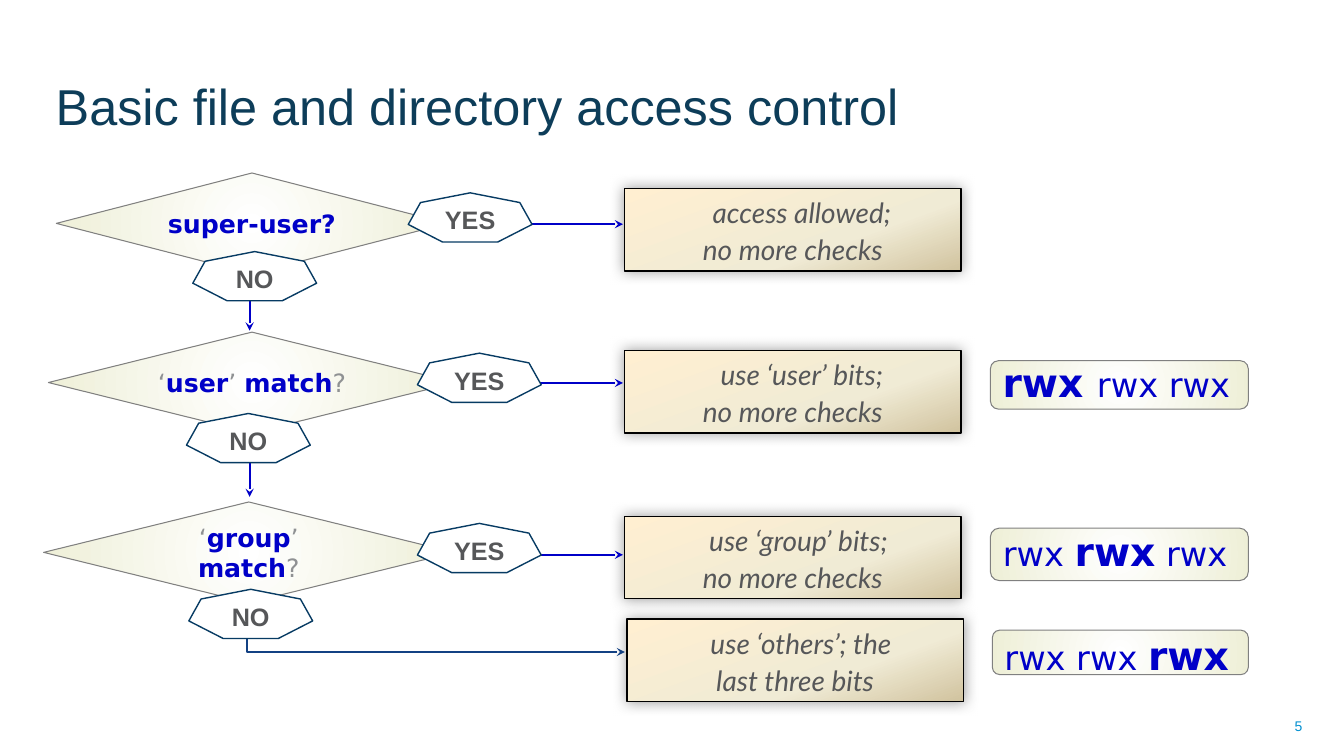
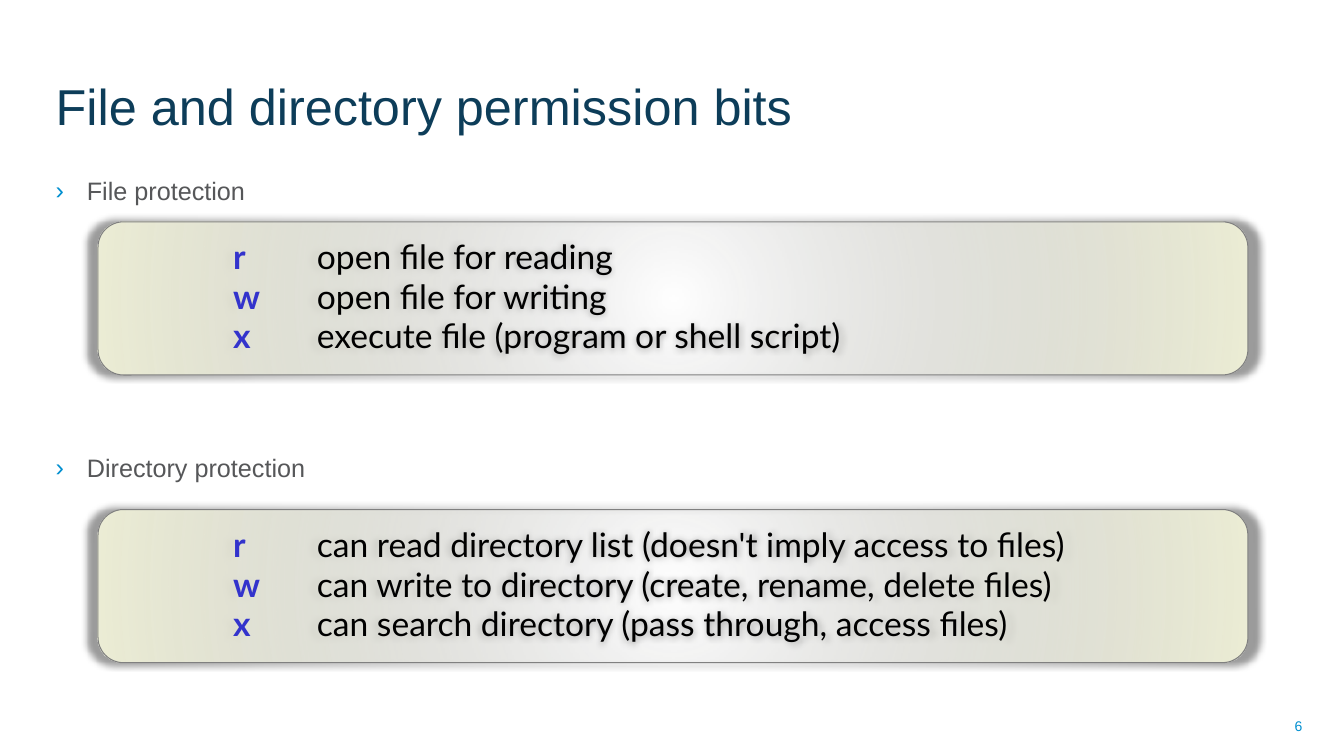
"""Build two slides on file access control and permission bits."""
from dataclasses import dataclass
from typing import Any, NamedTuple

from lxml import etree
from pptx import Presentation
from pptx.dml.color import RGBColor
from pptx.enum.shapes import MSO_CONNECTOR, MSO_SHAPE
from pptx.enum.text import MSO_ANCHOR, MSO_AUTO_SIZE, PP_ALIGN
from pptx.oxml.ns import nsdecls, qn
from pptx.oxml import parse_xml
from pptx.util import Cm, Pt

LEFT, CENTER, RIGHT = PP_ALIGN.LEFT, PP_ALIGN.CENTER, PP_ALIGN.RIGHT
TOP, MIDDLE, BOTTOM = MSO_ANCHOR.TOP, MSO_ANCHOR.MIDDLE, MSO_ANCHOR.BOTTOM
NO_AUTOFIT = MSO_AUTO_SIZE.NONE
RECTANGLE, DIAMOND = MSO_SHAPE.RECTANGLE, MSO_SHAPE.FLOWCHART_DECISION
PANEL, HEPTAGON = MSO_SHAPE.FLOWCHART_ALTERNATE_PROCESS, MSO_SHAPE.HEPTAGON
STRAIGHT, ELBOW = MSO_CONNECTOR.STRAIGHT, MSO_CONNECTOR.ELBOW

NAVY, SKY, GREY, PALE_GREY = "0D3D59", "008FD0", "565759", "8F9193"
BLUE, INDIGO, BLACK, WHITE = "0000C8", "3333CC", "000000", "FFFFFF"
OUTLINE, BADGE_LINE, ELBOW_LINE = "808080", "073B63", "134183"
SANS, MONO_LIKE, HUMANIST = "Arial", "DejaVu Sans", "Lato"

CENTRE_OUT = ('<a:path path="circle"><a:fillToRect l="50000" t="50000" '
              'r="50000" b="50000"/></a:path>')
DIAGONAL = '<a:lin ang="4200000" scaled="0"/>'


class Area(NamedTuple):
    """Left, top, width and height in centimetres."""
    left: float
    top: float
    width: float
    height: float


class Stop(NamedTuple):
    """One gradient stop: percent, colour and opacity."""
    percent: int
    color: str
    opacity: int = 100


class Style(NamedTuple):
    """Character format."""
    font: str
    size: int
    color: str
    bold: bool = False
    italic: bool = False


class Span(NamedTuple):
    """Text in one character format."""
    text: str
    style: Style


@dataclass(frozen=True)
class Check:
    """A question with its YES and NO badges and the YES arrow."""
    question: Area
    spans: tuple[Span, ...]
    yes: tuple[float, float]
    no: tuple[float, float]
    arrow_y: float


@dataclass(frozen=True)
class Outcome:
    """The result of a check in two lines."""
    left: float
    top: float
    lines: tuple[str, str]


@dataclass(frozen=True)
class Bits:
    """Three permission triplets, one of them in force."""
    area: Area
    spans: tuple[Span, ...]
    bottom: float


@dataclass(frozen=True)
class Rights:
    """A panel that explains r, w and x."""
    top: float
    meanings: tuple[str, str, str]


TITLE = Style(SANS, 36, NAVY)
NUMBER = Style(SANS, 10, SKY)
BADGE = Style(SANS, 18, GREY, bold=True)
HEADING = Style(SANS, 18, GREY)
RESULT = Style(HUMANIST, 20, GREY, italic=True)
ASKED = Style(MONO_LIKE, 18, BLUE, bold=True)
QUIET = Style(MONO_LIKE, 18, PALE_GREY)
IDLE_BITS = Style(MONO_LIKE, 24, BLUE)
ACTIVE_BITS = Style(MONO_LIKE, 28, BLUE, bold=True)
LETTER = Style(HUMANIST, 24, INDIGO, bold=True)
MEANING = Style(HUMANIST, 24, BLACK)

SAND = (Stop(0, "FFEFD1"), Stop(65, "F0EBD5"), Stop(100, "D1C39F"))
IVORY = (Stop(0, WHITE), Stop(100, "EEEFD7"))
CLEAR_IVORY = (Stop(0, WHITE, 0), Stop(100, "EEEFD7"))


def match_spans(word: str) -> tuple[Span, ...]:
    """Return the spans of a question about one quoted word."""
    return (Span("‘", QUIET), Span(word, ASKED), Span("’ ", QUIET),
            Span("match", ASKED), Span("?", QUIET))


CHECKS = (
    Check(Area(1.42, 4.36, 9.86, 2.54), (Span("super-user?", ASKED),),
          (10.29, 4.86), (4.86, 6.34), 5.65),
    Check(Area(1.22, 8.37, 10.26, 2.54), match_spans("user"),
          (10.52, 8.9), (4.7, 10.42), 9.65),
    Check(Area(1.1, 12.65, 10.34, 2.54), match_spans("group"),
          (10.52, 13.19), (4.76, 14.85), 13.98),
)
OUTCOMES = (
    Outcome(15.74, 4.75, ("access allowed;", "no more checks")),
    Outcome(15.74, 8.83, ("use ‘user’ bits;", "no more checks")),
    Outcome(15.74, 13.01, ("use ‘group’ bits; ", "no more checks")),
    Outcome(15.8, 15.6, ("use ‘others’; the ", "last three bits")),
)
BITS = (
    Bits(Area(24.96, 9.09, 6.5, 1.22),
         (Span("rwx ", ACTIVE_BITS), Span("rwx rwx", IDLE_BITS)), 0.3),
    Bits(Area(24.96, 13.31, 6.5, 1.32),
         (Span("rwx ", IDLE_BITS), Span("rwx", ACTIVE_BITS), Span(" rwx", IDLE_BITS)), 0.3),
    Bits(Area(25.01, 15.88, 6.45, 1.12),
         (Span("rwx rwx ", IDLE_BITS), Span("rwx", ACTIVE_BITS)), 0),
)
RIGHTS = (
    Rights(5.59, ("open file for reading", "open file for writing",
                  "execute file (program or shell script)")),
    Rights(12.84, ("can read directory list (doesn't imply access to files)",
                   "can write to directory (create, rename, delete files)",
                   "can search directory (pass through, access files)")),
)


def rgb(color: str) -> RGBColor:
    """Turn a hex string into a colour."""
    return RGBColor.from_string(color)


def assign(target: Any, values: dict[str, Any]) -> None:
    """Set each named attribute of the target."""
    for name, value in values.items():
        setattr(target, name, value)


def place(area: Area) -> tuple[Cm, ...]:
    """Return the area as lengths."""
    return tuple(Cm(value) for value in area)


def write(paragraph: Any, spans: tuple[Span, ...], indent: float = 0,
          margin: float = 0, **layout: Any) -> None:
    """Add formatted spans to a paragraph and lay it out."""
    assign(paragraph, layout)
    properties = paragraph._p.get_or_add_pPr()
    properties.set("marL", str(Cm(margin)))
    properties.set("indent", str(Cm(indent)))
    for text, style in spans:
        run = paragraph.add_run()
        run.text = text
        assign(run.font, {"name": style.font, "size": Pt(style.size),
                          "bold": style.bold, "italic": style.italic})
        run.font.color.rgb = rgb(style.color)


def prepare(shape: Any, anchor: Any = MIDDLE, **margins: Cm) -> Any:
    """Set up wrapping text and return its first paragraph."""
    frame = shape.text_frame
    assign(frame, {"word_wrap": True, "auto_size": NO_AUTOFIT,
                   "vertical_anchor": anchor, **margins})
    return frame.paragraphs[0]


def add_outlined(slide: Any, kind: Any, area: Area, line: str, width: float) -> Any:
    """Add a white shape with an outline and no shadow."""
    shape = slide.shapes.add_shape(kind, *place(area))
    shape.shadow.inherit = False
    shape.fill.solid()
    shape.fill.fore_color.rgb = rgb(WHITE)
    shape.line.color.rgb = rgb(line)
    shape.line.width = Pt(width)
    return shape


def set_gradient(shape: Any, stops: tuple[Stop, ...], direction: str) -> None:
    """Fill the shape with a gradient."""
    marks = "".join(
        f'<a:gs pos="{stop.percent * 1000}"><a:srgbClr val="{stop.color}">'
        f'<a:alpha val="{stop.opacity * 1000}"/></a:srgbClr></a:gs>' for stop in stops)
    properties = shape._element.spPr
    properties.replace(properties.find(qn("a:solidFill")), parse_xml(
        f'<a:gradFill {nsdecls("a")} rotWithShape="1"><a:gsLst>{marks}</a:gsLst>'
        f'{direction}</a:gradFill>'))


def set_glow_shadow(shape: Any, color: str, opacity: int, blur: int, scale: int) -> None:
    """Add a centred soft shadow."""
    shape._element.spPr.find(qn("a:effectLst")).append(parse_xml(
        f'<a:outerShdw {nsdecls("a")} blurRad="{Pt(blur)}" sx="{scale * 1000}" '
        f'sy="{scale * 1000}" algn="ctr" rotWithShape="0"><a:srgbClr val="{color}">'
        f'<a:alpha val="{opacity * 1000}"/></a:srgbClr></a:outerShdw>'))


def add_arrow(slide: Any, kind: Any, ends: tuple[float, ...], color: str) -> Any:
    """Add a connector with a stealth arrowhead."""
    arrow = slide.shapes.add_connector(kind, *(Cm(end) for end in ends))
    arrow.line.color.rgb = rgb(color)
    arrow.line.width = Pt(1.5)
    etree.SubElement(arrow.line._get_or_add_ln(), qn("a:tailEnd"), type="stealth")
    etree.SubElement(arrow._element.spPr, qn("a:effectLst"))
    return arrow


def add_badge(slide: Any, corner: tuple[float, float], answer: str) -> None:
    """Add a YES or NO heptagon."""
    badge = add_outlined(slide, HEPTAGON, Area(*corner, 3.12, 1.24), BADGE_LINE, 1)
    write(prepare(badge, margin_top=Cm(0.25)), (Span(answer, BADGE),), alignment=CENTER)


def add_outcome(slide: Any, outcome: Outcome) -> None:
    """Add a sand-coloured result box."""
    box = add_outlined(slide, RECTANGLE, Area(outcome.left, outcome.top, 8.48, 2.08),
                       BLACK, 1)
    set_gradient(box, SAND, DIAGONAL)
    set_glow_shadow(box, "6D6D6D", 65, 10, 100)
    paragraph = prepare(box, TOP, margin_top=Cm(0.1), margin_bottom=Cm(0.1))
    first, second = outcome.lines
    layout = {"indent": 0.46, "alignment": CENTER, "line_spacing": 1.1}
    write(paragraph, (Span(first, RESULT),), **layout)
    paragraph.add_line_break()
    write(paragraph, (Span(second, RESULT),), **layout)


def add_bits(slide: Any, bits: Bits) -> None:
    """Add a panel of three triplets with the active one enlarged."""
    panel = add_outlined(slide, PANEL, bits.area, OUTLINE, 0.75)
    set_gradient(panel, IVORY, CENTRE_OUT)
    write(prepare(panel, margin_bottom=Cm(bits.bottom)), bits.spans, alignment=LEFT)


def add_question(slide: Any, check: Check) -> None:
    """Add a decision diamond."""
    diamond = add_outlined(slide, DIAMOND, check.question, OUTLINE, 0.75)
    set_gradient(diamond, IVORY, CENTRE_OUT)
    sides = ("left", "top", "right", "bottom")
    paragraph = prepare(diamond, **{f"margin_{side}": Cm(0) for side in sides})
    write(paragraph, check.spans, alignment=CENTER)


def add_rights(slide: Any, rights: Rights) -> None:
    """Add a panel with one line for each permission letter."""
    panel = add_outlined(slide, PANEL, Area(2.47, rights.top, 28.98, 3.86), OUTLINE, 0.75)
    set_gradient(panel, CLEAR_IVORY, CENTRE_OUT)
    set_glow_shadow(panel, BLACK, 40, 5, 102)
    paragraph = prepare(panel)
    for index, (letter, meaning) in enumerate(zip("rwx", rights.meanings)):
        if index:
            paragraph = panel.text_frame.add_paragraph()
        write(paragraph, (Span(f"{letter}\t", LETTER), Span(meaning, MEANING)),
              indent=2.97, alignment=LEFT, line_spacing=0.9,
              space_before=Pt(2.2 if index else 0))
        paragraph._p.pPr.set("defTabSz", str(Cm(2.54)))


def add_headings(slide: Any, headings: tuple[str, ...]) -> None:
    """Add the bulleted headings, spaced to sit above their panels."""
    body = slide.shapes.add_textbox(*place(Area(1.15, 4.29, 31.67, 12.62)))
    paragraph = prepare(body, TOP)
    for index, heading in enumerate(headings):
        if index:
            paragraph = body.text_frame.add_paragraph()
        write(paragraph, (Span(heading, HEADING),), indent=-0.79, margin=0.79,
              alignment=LEFT, space_before=Pt(176.5 if index else 0))
        tint = etree.SubElement(paragraph._p.pPr, qn("a:buClr"))
        etree.SubElement(tint, qn("a:srgbClr"), val=SKY)
        etree.SubElement(paragraph._p.pPr, qn("a:buFont"), typeface=SANS)
        etree.SubElement(paragraph._p.pPr, qn("a:buChar"), char="›")


def add_slide(deck: Any, title: str, number: int) -> Any:
    """Add a slide with its title and number."""
    slide = deck.slides.add_slide(deck.slide_layouts[5])
    heading = slide.shapes.title
    assign(heading, dict(zip(("left", "top", "width", "height"),
                             place(Area(1.15, 0.34, 25.35, 3.2)))))
    write(prepare(heading, BOTTOM), (Span(title, TITLE),), alignment=LEFT)
    footer = slide.shapes.add_textbox(*place(Area(25.17, 17.78, 7.9, 1.02)))
    write(prepare(footer), (Span(str(number), NUMBER),), alignment=RIGHT)
    return slide


def build_access_control(deck: Any) -> None:
    """Draw the access control flow."""
    slide = add_slide(deck, "Basic file and directory access control", 5)
    for outcome in OUTCOMES:
        add_outcome(slide, outcome)
    for check in CHECKS:
        add_arrow(slide, STRAIGHT, (12, check.arrow_y, 15.7, check.arrow_y), BLUE)
    for start, end in ((5.13, 8.33), (8.84, 12.52)):
        add_arrow(slide, STRAIGHT, (6.29, start, 6.29, end), BLUE)
    fallback = add_arrow(slide, ELBOW, (6.38, 15.42, 15.75, 16.43), ELBOW_LINE)
    bend = fallback._element.spPr.find(qn("a:prstGeom")).get_or_add_avLst()
    etree.SubElement(bend, qn("a:gd"), name="adj1", fmla="val -1600")
    for bits in BITS:
        add_bits(slide, bits)
    for check in CHECKS:
        add_question(slide, check)
        add_badge(slide, check.yes, "YES")
        add_badge(slide, check.no, "NO")


def build_permission_bits(deck: Any) -> None:
    """Draw the meaning of the permission bits."""
    slide = add_slide(deck, "File and directory permission bits", 6)
    add_headings(slide, ("File protection", "Directory protection"))
    for rights in RIGHTS:
        add_rights(slide, rights)


def main() -> None:
    """Build and save the deck."""
    deck = Presentation()
    assign(deck, {"slide_width": Cm(33.87), "slide_height": Cm(19.05)})
    build_access_control(deck)
    build_permission_bits(deck)
    deck.save("out.pptx")


if __name__ == "__main__":
    main()
